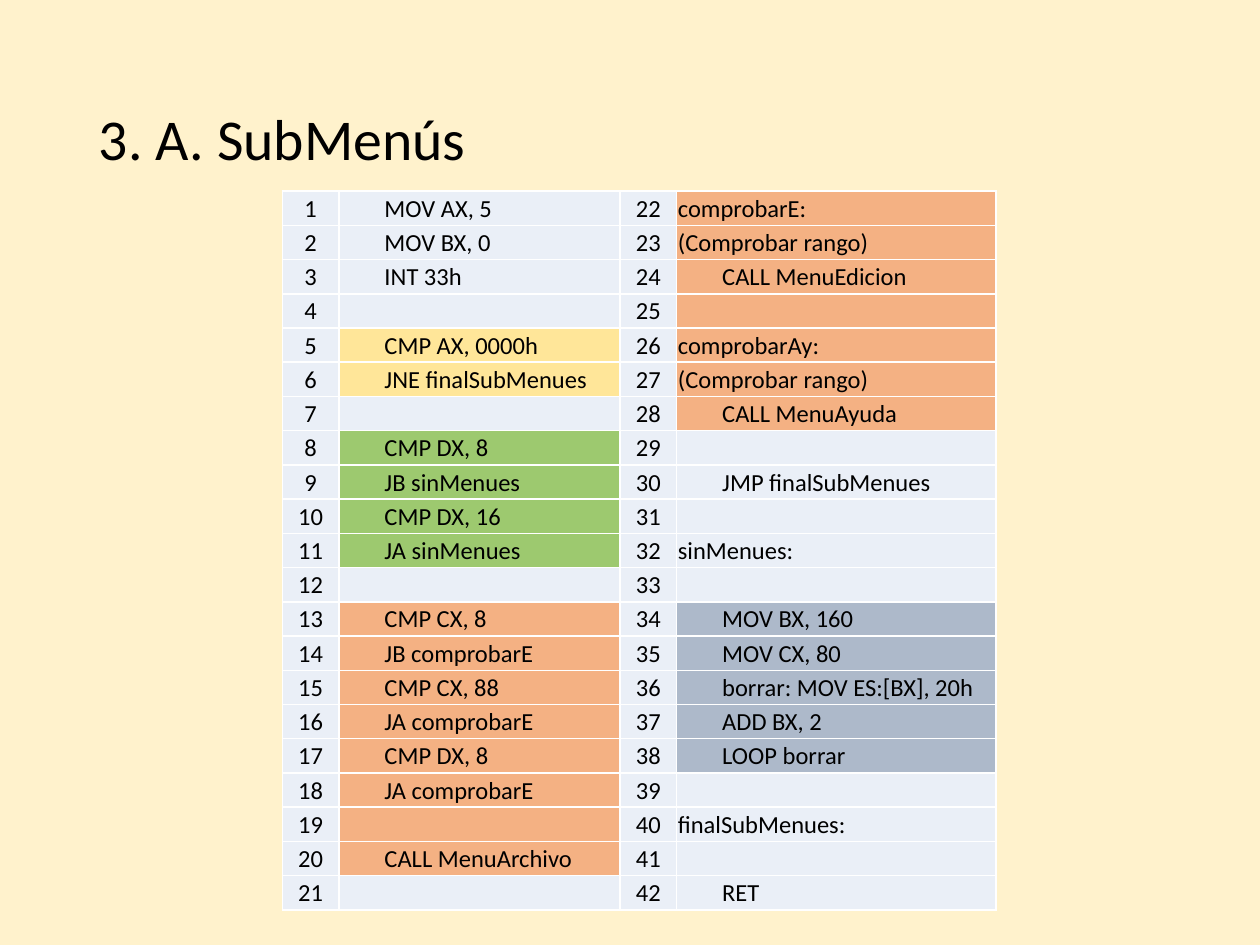
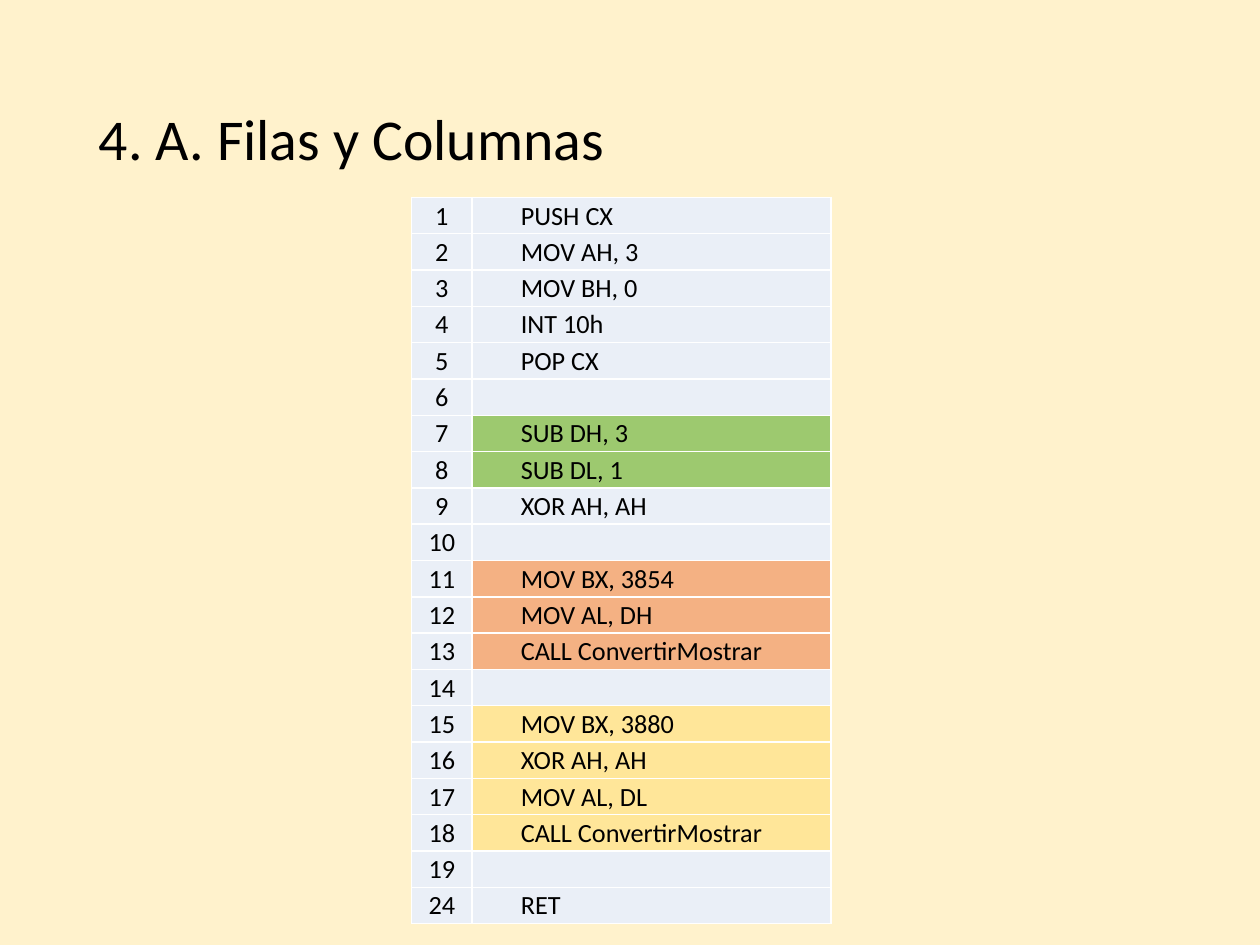
from pptx import Presentation, util as u
from pptx.dml.color import RGBColor
from pptx.enum import text
from pptx.oxml.ns import qn
from lxml import etree

Pt = u.Pt
FONT, INK, PAPER = "Calibri", "000000", "FFF2CC"
PLAIN, GOLD, GREEN, ORANGE, SLATE = "EAEFF7", "FFE699", "9DC96F", "F4B183", "ADB9CA"

# Content: each code column is a list of blocks (fill, lines)
MENU_LEFT = [
    (PLAIN, ["MOV AX, 5", "MOV BX, 0", "INT 33h", ""]),
    (GOLD, ["CMP AX, 0000h", "JNE finalSubMenues"]),
    (PLAIN, [""]),
    (GREEN, ["CMP DX, 8", "JB sinMenues", "CMP DX, 16", "JA sinMenues"]),
    (PLAIN, [""]),
    (ORANGE, ["CMP CX, 8", "JB comprobarE", "CMP CX, 88", "JA comprobarE",
              "CMP DX, 8", "JA comprobarE", "", "CALL MenuArchivo"]),
    (PLAIN, [""]),
]
MENU_RIGHT = [
    (ORANGE, ["comprobarE:", "(Comprobar rango)", "CALL MenuEdicion", "",
              "comprobarAy:", "(Comprobar rango)", "CALL MenuAyuda"]),
    (PLAIN, ["", "JMP finalSubMenues", "", "sinMenues:", ""]),
    (SLATE, ["MOV BX, 160", "MOV CX, 80", "borrar: MOV ES:[BX], 20h",
             "ADD BX, 2", "LOOP borrar"]),
    (PLAIN, ["", "finalSubMenues:", "", "RET"]),
]
GRID = [
    (PLAIN, ["PUSH CX", "MOV AH, 3", "MOV BH, 0", "INT 10h", "POP CX", ""]),
    (GREEN, ["SUB DH, 3", "SUB DL, 1"]),
    (PLAIN, ["XOR AH, AH", ""]),
    (ORANGE, ["MOV BX, 3854", "MOV AL, DH", "CALL ConvertirMostrar"]),
    (PLAIN, [""]),
    (GOLD, ["MOV BX, 3880", "XOR AH, AH", "MOV AL, DL", "CALL ConvertirMostrar"]),
    (PLAIN, ["", "RET"]),
]
# Each code column: (line numbers, blocks, width)
SLIDES = [
    dict(title="3. A. SubMenús", left=161.3, top=109.2, high=411, size=14, num=32.4,
         cols=[(range(1, 22), MENU_LEFT, 160.6), (range(22, 43), MENU_RIGHT, 182.6)]),
    dict(title="4. A. Filas y Columnas", left=235.2, top=112.8, high=415.2, size=15, num=34.6,
         cols=[([*range(1, 20), 24], GRID, 205.2)]),
]


def rgb(code):
    return RGBColor.from_string(code)


def style(para, size):
    font = para.font
    font.name, font.size, font.color.rgb = FONT, Pt(size), rgb(INK)


def add_title(slide, words):
    box = slide.shapes.add_textbox(Pt(49.5), Pt(28.8), Pt(621), Pt(104.4))
    frame = box.text_frame
    frame.word_wrap = True
    frame.vertical_anchor = text.MSO_ANCHOR.MIDDLE
    para = frame.paragraphs[0]
    para.text, para.line_spacing = words, 0.9
    style(para, 33)


def fill_cell(cell, words, fill, size, pad=0.7, align=text.PP_ALIGN.LEFT):
    cell.fill.solid()
    cell.fill.fore_color.rgb = rgb(fill)
    cell.vertical_anchor = text.MSO_ANCHOR.MIDDLE
    cell.margin_left, cell.margin_right = Pt(pad), Pt(0.7)
    cell.margin_top, cell.margin_bottom = Pt(0.7), Pt(0)
    para = cell.text_frame.paragraphs[0]
    para.text, para.alignment = words, align
    style(para, size)
    if not words:  # keeps empty rows at their set height
        end = etree.SubElement(para._p, qn("a:endParaRPr"))
        end.set("sz", str(size * 100))


def add_code(slide, left, top, high, size, num, cols):
    count = len(cols[0][0])
    wide = sum(num + width for _, _, width in cols)
    table = slide.shapes.add_table(count, 2 * len(cols), Pt(left), Pt(top),
                                   Pt(wide), Pt(high)).table
    table.first_row = table.horz_banding = False
    for row in table.rows:
        row.height = Pt(high / count)
    for pos, (nums, blocks, width) in enumerate(cols):
        table.columns[2 * pos].width = Pt(num)
        table.columns[2 * pos + 1].width = Pt(width)
        lines = [(fill, line) for fill, part in blocks for line in part]
        for row, (mark, (fill, line)) in enumerate(zip(nums, lines)):
            fill_cell(table.cell(row, 2 * pos), str(mark), PLAIN, size,
                      align=text.PP_ALIGN.CENTER)
            # Labels and remarks sit flush, instructions are indented
            flush = line.endswith(":") or line.startswith("(")
            fill_cell(table.cell(row, 2 * pos + 1), line, fill, size,
                      0.7 if flush else 0.7 + 1.81 * size)


deck = Presentation()
deck.slide_width, deck.slide_height = Pt(720), Pt(540)
for page in SLIDES:
    slide = deck.slides.add_slide(deck.slide_layouts[6])
    back = slide.background.fill
    back.solid()
    back.fore_color.rgb = rgb(PAPER)
    add_title(slide, page["title"])
    add_code(slide, **{key: page[key] for key in page if key != "title"})
deck.save("out.pptx")
